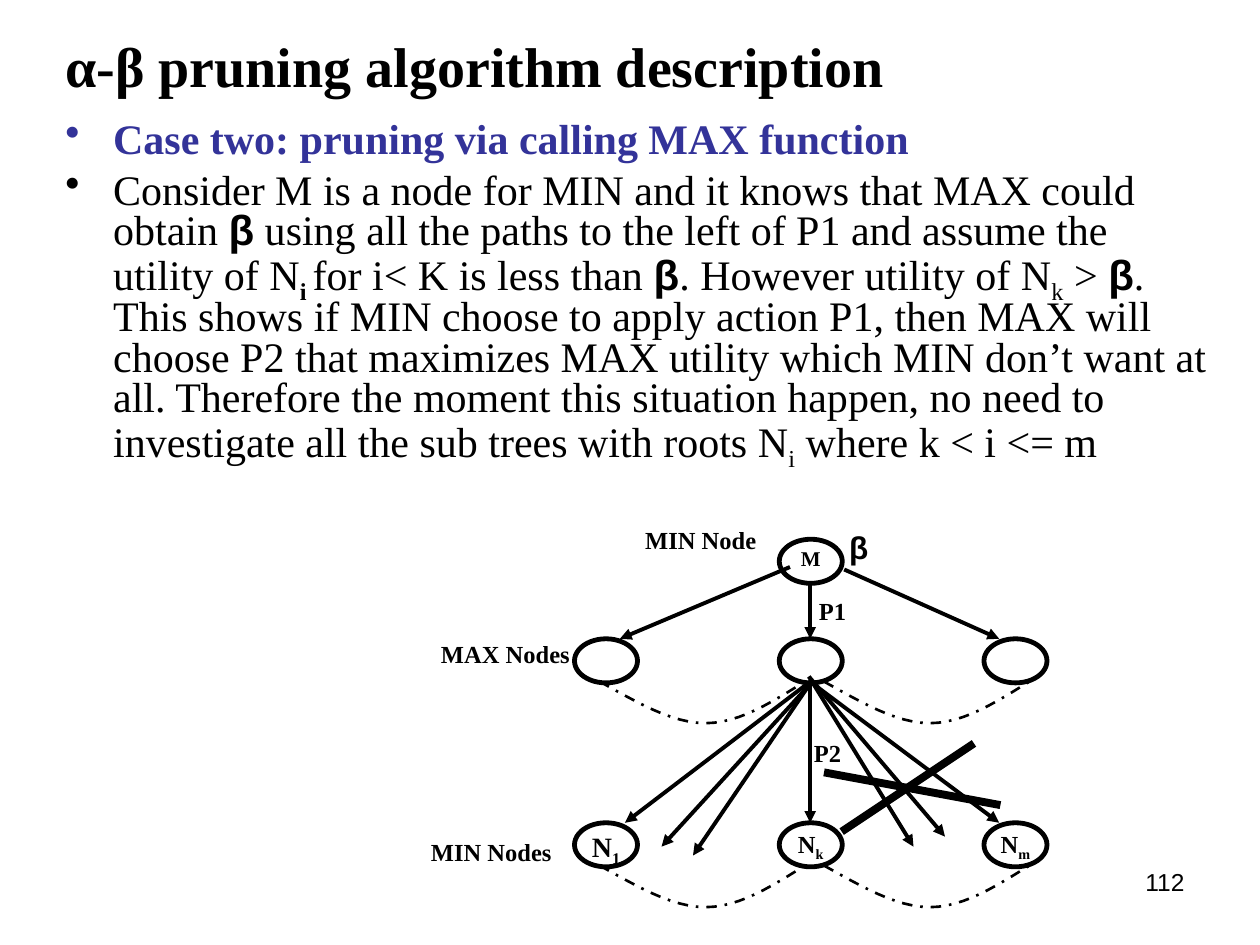
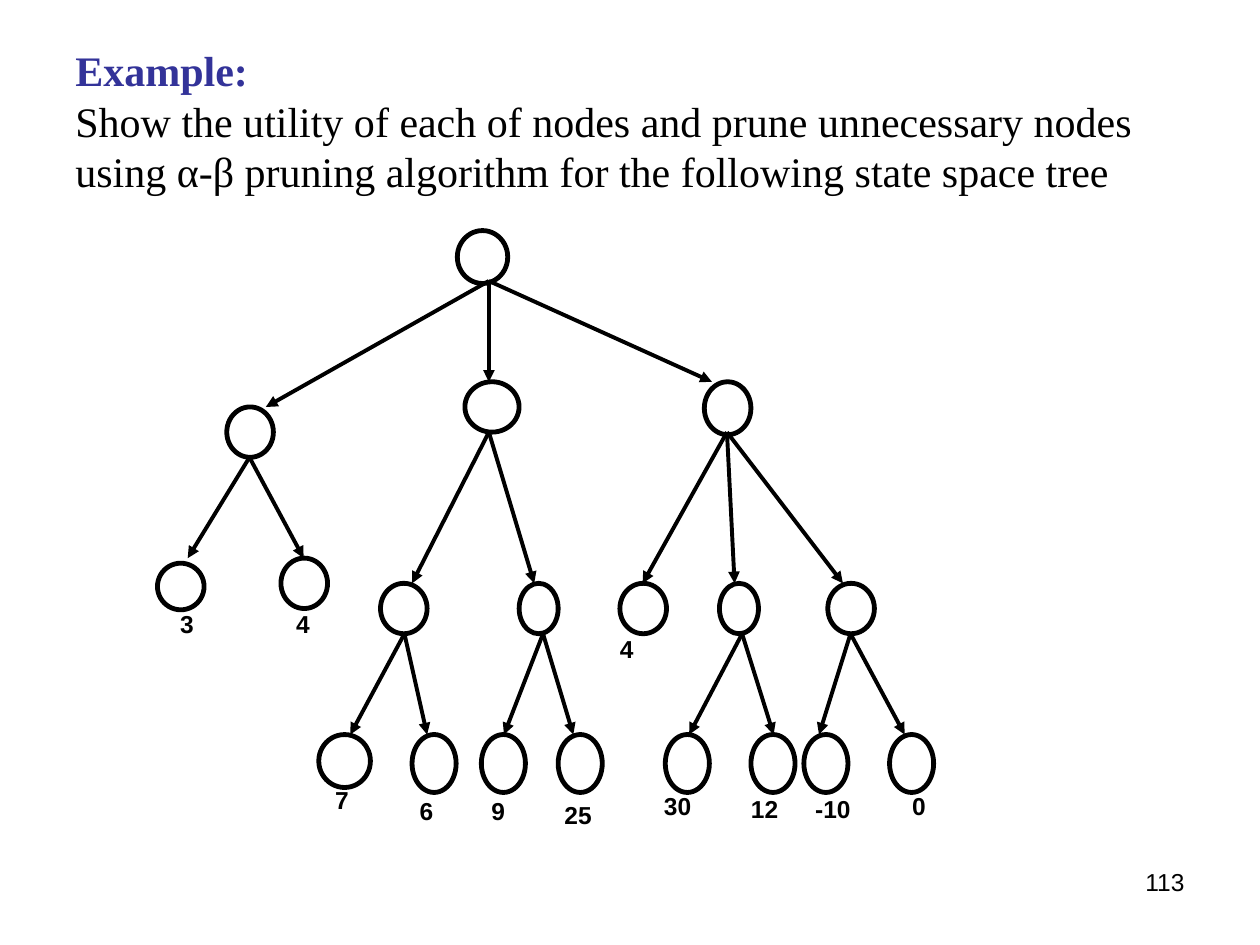
"""Build two slides on alpha-beta pruning with their search trees."""
from pptx import Presentation
from pptx.dml.color import RGBColor
from pptx.enum.dml import MSO_LINE
from pptx.enum.shapes import MSO_CONNECTOR, MSO_SHAPE
from pptx.enum.text import MSO_ANCHOR, PP_ALIGN
from pptx.oxml.ns import qn
from pptx.util import Inches, Pt
from lxml.etree import SubElement

INK = {"text": "000000", "head": "333399", "paper": "FFFFFF"}
SERIF, SANS = "Times New Roman", "Arial"
WIDE, HIGH = 10, 7.5
PAD = (0.1, 0.05)

PLAIN = {}
BOLD = {"bold": True}
HEAD = {"bold": True, "color": "head"}
BETA = {"bold": True, "face": SANS}
SUB = {"sub": True}

TITLE = [("α-β pruning algorithm description", BOLD)]
CASE = [
    [("Case two: pruning via calling MAX function", HEAD)],
    [
        ("Consider M is a node for MIN and it knows that MAX could obtain ", PLAIN),
        ("β", BETA),
        (" using all the paths to the left of P1 and assume the utility of N", PLAIN),
        ("i ", {"bold": True, "sub": True}),
        ("for i< K is less than ", PLAIN),
        ("β", BETA),
        (". However utility of N", PLAIN),
        ("k", SUB),
        (" > ", PLAIN),
        ("β", BETA),
        (". This shows if MIN choose to apply action P1, then MAX will choose P2 "
         "that maximizes MAX utility which MIN don’t want at all. Therefore the "
         "moment this situation happen, no need to investigate all the sub trees "
         "with roots N", PLAIN),
        ("i", SUB),
        (" where k < i <= m", PLAIN),
    ],
]
TASK = [
    ("Example:\n", HEAD),
    ("Show the utility of each of nodes and prune unnecessary nodes using α-β "
     "pruning algorithm for the following state space tree", PLAIN),
]

COLS = [4.56 + 1.625 * k for k in range(3)]
OVAL = (0.5, 0.35)
GAME = [
    (4.28, True, [(COLS[1], *OVAL)]),
    (5.07, True, [(x, *OVAL) for x in COLS]),
    (6.53, True, [(x, *OVAL) for x in COLS]),
]
NAMES = [("M", "", 12), None, None, None, ("N", "1", 16), ("N", "k", 14), ("N", "m", 14)]
PLAYS = [
    ((6.27, 4.5), [(4.92, 5.07)]),
    ((6.7, 4.52), [(7.93, 5.07)]),
    ((6.43, 4.64), [(6.43, 5.07)]),
    ((6.43, 5.41), [(4.96, 6.53), (7.93, 6.53), (6.43, 6.53)]),
    ((6.42, 5.44), [(5.25, 6.72), (5.5, 6.79)]),
    ((6.42, 5.37), [(7.5, 6.64), (7.25, 6.72)]),
]
ARCS = [(x, y) for y in (5.41, 6.87) for x in (4.76, 6.54)]
ARC = [(0, 0), (0.29, 0.16), (0.57, 0.33), (0.84, 0.33),
       (1.11, 0.33), (1.37, 0.16), (1.63, 0)]
CROSS = [((6.54, 6.13), (7.94, 6.39)), ((7.73, 5.9), (6.68, 6.6))]
TAGS = [
    ("MIN Node", 5.12, 4.17, 0.99), ("MAX Nodes", 3.5, 5.07, 1.03),
    ("MIN Nodes", 3.42, 6.64, 1.07), ("P1", 6.5, 4.73, 0.4), ("P2", 6.46, 5.86, 0.4),
]

MID, SLIM, LEAF = (0.37, 0.4), (0.31, 0.4), (0.35, 0.46)
TREE = [
    (1.83, False, [(3.63, 0.4, 0.42)]),
    (3.23, False, [(1.8, *MID)]),
    (3.03, True, [(3.69, 0.43, 0.4), (5.59, 0.37, 0.42)]),
    (4.47, False, [(1.25, 0.37, 0.37)]),
    (4.43, False, [(2.23, *MID)]),
    (4.63, False, [(3.02, *MID), (4.12, *SLIM), (4.92, *MID), (5.71, *SLIM),
                   (6.57, *MID)]),
    (5.83, False, [(2.53, 0.41, 0.42)]
     + [(x, *LEAF) for x in (3.27, 3.82, 4.43, 5.28, 5.96, 6.38, 7.06)]),
]


def fan(x, top, low, *ends):
    return (x, top), [(end, low) for end in ends]


LINKS = [
    ((3.88, 2.23), [(2.11, 3.23), (5.65, 3.03), (3.88, 3.03)]),
    fan(1.98, 3.63, 4.43, 1.49, 2.41),
    fan(3.88, 3.43, 4.63, 3.27, 4.24),
    fan(5.77, 3.43, 4.63, 5.1, 5.83, 6.69),
    fan(3.21, 5.03, 5.83, 2.78, 3.39),
    fan(4.31, 5.03, 5.83, 4, 4.55),
    fan(5.89, 5.03, 5.83, 5.47, 6.14),
    fan(6.75, 5.03, 5.83, 6.5, 7.18),
]
SCORES = [
    ("3", 1.43, 4.83), ("4", 2.35, 4.83), ("4", 4.92, 5.03), ("7", 2.66, 6.23),
    ("6", 3.33, 6.32), ("9", 3.9, 6.32), ("25", 4.48, 6.35), ("30", 5.27, 6.28),
    ("12", 5.96, 6.3), ("-10", 6.47, 6.3), ("0", 7.24, 6.28),
]


def tint(name):
    return RGBColor.from_string(INK[name])


def spot(*nums):
    return [Inches(n) for n in nums]


def write(para, spans, size, face=SERIF):
    for text, look in spans:
        run = para.add_run()
        run.text = text.rstrip("\n")
        font = run.font
        font.size, font.name = Pt(size), look.get("face", face)
        font.bold = look.get("bold", False)
        font.color.rgb = tint(look.get("color", "text"))
        if look.get("sub"):
            run._r.get_or_add_rPr().set("baseline", "-25000")
        if text.endswith("\n"):
            para.add_line_break()


def setup(frame, pad, anchor=MSO_ANCHOR.TOP):
    frame.word_wrap = True
    frame.vertical_anchor = anchor
    frame.margin_left = frame.margin_right = Inches(pad[0])
    frame.margin_top = frame.margin_bottom = Inches(pad[1])
    return frame


def note(slide, at, spans, size, face=SERIF, pad=(0, 0), anchor=MSO_ANCHOR.TOP):
    frame = setup(slide.shapes.add_textbox(*spot(*at)).text_frame, pad, anchor)
    write(frame.paragraphs[0], spans, size, face)
    return frame


def title(slide, at, spans, size):
    note(slide, at, spans, size, pad=PAD, anchor=MSO_ANCHOR.MIDDLE)


def bullets(slide, at, paras, size):
    frame = setup(slide.shapes.add_textbox(*spot(*at)).text_frame, PAD)
    for k, spans in enumerate(paras):
        para = frame.add_paragraph() if k else frame.paragraphs[0]
        props = para._p.get_or_add_pPr()
        props.set("marL", str(Inches(0.38)))
        props.set("indent", str(-Inches(0.38)))
        color = SubElement(props, qn("a:buClr"))
        SubElement(color, qn("a:srgbClr")).set("val", INK[spans[0][1].get("color", "text")])
        SubElement(props, qn("a:buChar")).set("char", "•")
        para.line_spacing = 0.8
        para.space_before = Pt(6 if k else 0)
        write(para, spans, size)


def nodes(slide, rows):
    made = []
    for top, hollow, row in rows:
        for k, (left, wide, high) in enumerate(row):
            node = slide.shapes.add_shape(MSO_SHAPE.OVAL, *spot(left, top, wide, high))
            node.shadow.inherit = False
            if hollow and (k or len(row) == 2):
                node.fill.background()
            else:
                node.fill.solid()
                node.fill.fore_color.rgb = tint("paper")
            node.line.color.rgb, node.line.width = tint("text"), Pt(2.75)
            made.append(node)
    return made


def stroke(slide, start, end, width=2.25, arrow=True):
    line = slide.shapes.add_connector(MSO_CONNECTOR.STRAIGHT, *spot(*start, *end))
    line.line.color.rgb, line.line.width = tint("text"), Pt(width)
    if arrow:
        SubElement(line.line._get_or_add_ln(), qn("a:tailEnd")).set("type", "triangle")
    SubElement(line._element.spPr, qn("a:effectLst"))


def fans(slide, links):
    for hub, tips in links:
        for tip in tips:
            stroke(slide, hub, tip)


def bend(knots, t):
    parts = ((1 - t) ** 3, 3 * t * (1 - t) ** 2, 3 * t * t * (1 - t), t ** 3)
    return [sum(p * knot[k] for p, knot in zip(parts, knots)) for k in (0, 1)]


def arc(slide, x, y):
    dots = [bend(ARC[k:k + 4], t / 12) for k in (0, 3) for t in range(13)]
    path = [spot(x + dx, y + dy) for dx, dy in dots]
    pen = slide.shapes.build_freeform(*path[0])
    pen.add_line_segments(path[1:], close=False)
    curve = pen.convert_to_shape()
    curve.shadow.inherit = False
    curve.fill.background()
    curve.line.color.rgb, curve.line.width = tint("text"), Pt(1.5)
    curve.line.dash_style = MSO_LINE.DASH_DOT


def page(deck, num):
    slide = deck.slides.add_slide(deck.slide_layouts[6])
    frame = note(slide, (7.17, 6.83, 2.33, 0.52), [(str(num), PLAIN)], 14, SANS, PAD)
    frame.paragraphs[0].alignment = PP_ALIGN.RIGHT
    return slide


def prune(deck):
    slide = page(deck, 112)
    title(slide, (0.42, 0.25, 8.58, 0.53), TITLE, 32)
    bullets(slide, (0.42, 0.92, 9.33, 2.92), CASE, 24)
    for node, name in zip(nodes(slide, GAME), NAMES):
        if name:
            base, sub, size = name
            para = setup(node.text_frame, (0, 0)).paragraphs[0]
            para.alignment = PP_ALIGN.CENTER
            spans = [(base, BOLD), (sub, {**BOLD, **SUB})]
            write(para, [span for span in spans if span[0]], size)
    for x, y in ARCS:
        arc(slide, x, y)
    fans(slide, PLAYS)
    for text, x, y, wide in TAGS:
        note(slide, (x, y, wide, 0.24), [(text, BOLD)], 14)
    note(slide, (6.74, 4.19, 0.24, 0.23), [("β", BETA)], 18)
    for start, end in CROSS:
        stroke(slide, start, end, 4.5, False)


def drill(deck):
    slide = page(deck, 113)
    title(slide, (0.5, 0.33, 9, 1.25), TASK, 24)
    nodes(slide, TREE)
    fans(slide, LINKS)
    for text, x, y in SCORES:
        note(slide, (x, y, 0.43, 0.4), [(text, BOLD)], 14, SANS)


def main():
    deck = Presentation()
    deck.slide_width, deck.slide_height = spot(WIDE, HIGH)
    prune(deck)
    drill(deck)
    deck.save("out.pptx")


if __name__ == "__main__":
    main()
